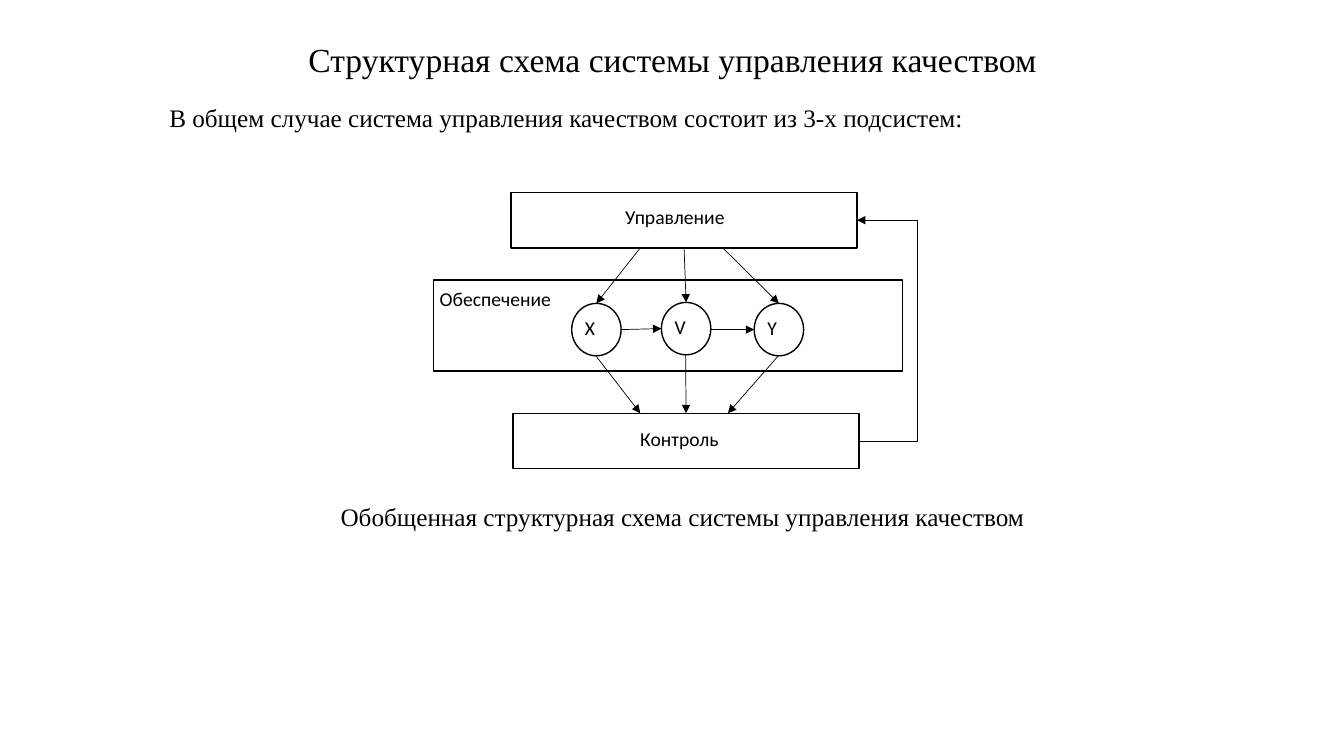
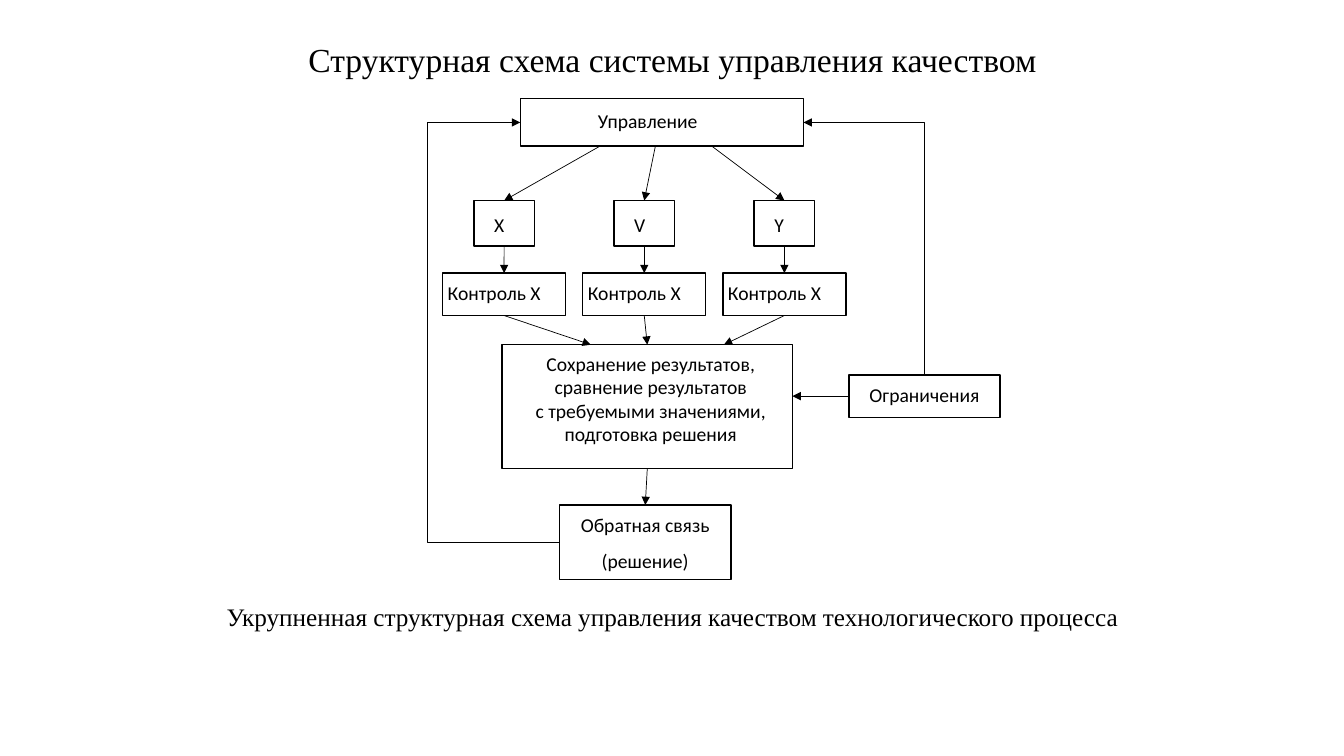
from lxml import etree
from pptx import Presentation
from pptx.dml.color import RGBColor
from pptx.enum.shapes import MSO_CONNECTOR, MSO_SHAPE
from pptx.enum.text import MSO_ANCHOR, MSO_AUTO_SIZE, PP_ALIGN
from pptx.oxml.ns import qn
from pptx.util import Inches, Pt

RECT, OVAL = MSO_SHAPE.RECTANGLE, MSO_SHAPE.OVAL
STRAIGHT, ELBOW = MSO_CONNECTOR.STRAIGHT, MSO_CONNECTOR.ELBOW
LEFT, CENTER, JUSTIFY = PP_ALIGN.LEFT, PP_ALIGN.CENTER, PP_ALIGN.JUSTIFY
TOP, SIDE, BOTTOM, RIGHT = 0, 1, 2, 3  # connection sites
BLACK, WHITE = "000000", "FFFFFF"
SERIF, SANS = "Times New Roman", "Calibri"
TITLE = "Структурная схема системы управления качеством"


def paint(fill, color):
    fill.solid()
    fill.fore_color.rgb = RGBColor.from_string(color)


def write(frame, text, font=SANS, size=14, align=LEFT, left=0.1, top=0.05,
          right=0, indent=0, lead=1.07, gap=8):
    """Fill a text frame, one paragraph per line of text."""
    frame.word_wrap = True
    frame.auto_size = MSO_AUTO_SIZE.NONE
    frame.vertical_anchor = MSO_ANCHOR.TOP
    frame.margin_left, frame.margin_right = Inches(left), Inches(right)
    frame.margin_top, frame.margin_bottom = Inches(top), 0
    for i, line in enumerate(text.split("\n")):
        para = frame.add_paragraph() if i else frame.paragraphs[0]
        para.alignment, para.line_spacing = align, lead
        para.space_before, para.space_after = 0, Pt(gap)
        if indent:
            para._p.get_or_add_pPr().set("indent", str(Inches(indent)))
        run = para.add_run()
        run.text = line
        run.font.name, run.font.size = font, Pt(size)
        paint(run.font.fill, BLACK)


# Notes: text, left, top, width, format
# Boxes: name -> shape, left, top, width, height, text, format
# Arrows: from, to; an end is a point or a box name with a site
# Loops: from, to, x of the upright part
basic = {
    "notes": [
        ("В общем случае система управления качеством состоит из 3-х подсистем:",
         1.09, 0.94, 11.22, dict(align=JUSTIFY, indent=0.49)),
        ("Обобщенная структурная схема системы управления качеством",
         2.98, 4.9, 7.58, dict(align=CENTER, right=0.1)),
    ],
    "boxes": {
        "manage": (RECT, 5.07, 1.91, 3.43, 0.55, "Управление", dict(left=1.13, top=0.11)),
        "supply": (RECT, 4.3, 2.78, 4.65, 0.9, "Обеспечение", dict(left=0.06)),
        "check": (RECT, 5.09, 4.1, 3.43, 0.55, "Контроль", dict(left=1.26, top=0.12)),
    },
    "arrows": [
        ((6.35, 2.46), ("X", TOP)),
        (("manage", BOTTOM), ("V", TOP)),
        ((7.17, 2.46), ("Y", TOP)),
        ((6.16, 3.27), (6.56, 3.26)),
        ((7.05, 3.27), (7.48, 3.27)),
        ((5.91, 3.53), (6.35, 4.1)),
        ((6.8, 3.52), ("check", TOP)),
        ((7.72, 3.53), (7.22, 4.1)),
    ],
    "loops": [(("check", RIGHT), ("manage", RIGHT), 9.1)],
    "corners": [],
}
for name, x, y in (("X", 5.67, 3.01), ("V", 6.56, 3), ("Y", 7.48, 3.01)):
    basic["boxes"][name] = (OVAL, x, y, 0.49, 0.52, name, dict(left=0.06, top=0.03))

detail = {
    "notes": [
        ("Укрупненная структурная схема управления качеством технологического процесса",
         1.06, 5.9, 11.22, dict(align=CENTER, right=0.1)),
    ],
    "boxes": {
        "manage": (RECT, 5.16, 0.98, 2.81, 0.47, "Управление", dict(left=0.77, top=0.08)),
        "store": (RECT, 4.98, 3.42, 2.88, 1.23,
                  "Сохранение результатов,\nсравнение результатов\n"
                  "с требуемыми значениями,\nподготовка решения",
                  dict(align=CENTER, left=0.07, top=0.07, lead=1.0, gap=0)),
        "limits": (RECT, 8.42, 3.72, 1.5, 0.42, "Ограничения",
                   dict(align=CENTER, left=0, top=0.06)),
        "reply": (RECT, 5.55, 5.01, 1.7, 0.74, "Обратная связь\n(решение)",
                  dict(align=CENTER, left=0, top=0.06)),
    },
    "arrows": [
        ((5.95, 1.45), ("X", TOP)),
        ((6.5, 1.45), ("V", TOP)),
        ((7.06, 1.45), ("Y", TOP)),
        (("check X", BOTTOM), (5.86, 3.42)),
        (("check V", BOTTOM), ("store", TOP)),
        (("check Y", BOTTOM), (7.18, 3.42)),
        (("limits", SIDE), (7.86, 3.93)),
        (("store", BOTTOM), ("reply", TOP)),
    ],
    "loops": [(("reply", SIDE), ("manage", SIDE), 4.24)],
    "corners": [(("manage", RIGHT), ("limits", TOP))],
}
for i, name in enumerate("XVY"):
    mid = 5 + 1.39 * i
    detail["boxes"][name] = (RECT, mid - 0.3, 1.99, 0.6, 0.45, name,
                             dict(left=0.2, top=0.11))
    detail["boxes"]["check " + name] = (RECT, mid - 0.61, 2.71, 1.22, 0.42, "Контроль X",
                                        dict(left=0.05, top=0.06))
    detail["arrows"].append(((name, BOTTOM), ("check " + name, TOP)))

deck = Presentation()
deck.slide_width, deck.slide_height = Inches(13.33), Inches(7.5)
layout = deck.slide_layouts[5]
head = layout.placeholders[0]
head.left, head.top = Inches(2.87), Inches(0.31)
head.width, head.height = Inches(7.6), Inches(0.51)

for plan in (basic, detail):
    slide = deck.slides.add_slide(layout)
    shapes = slide.shapes
    write(shapes.title.text_frame, TITLE, font=SERIF, size=24, align=CENTER, right=0.1)

    for text, x, y, w, style in plan["notes"]:
        note = shapes.add_textbox(Inches(x), Inches(y), Inches(w), Inches(0.41))
        write(note.text_frame, text, font=SERIF, size=18, **style)

    boxes = {}
    for name, (kind, x, y, w, h, text, style) in plan["boxes"].items():
        box = shapes.add_shape(kind, Inches(x), Inches(y), Inches(w), Inches(h))
        box.shadow.inherit = False
        paint(box.fill, WHITE)
        paint(box.line.fill, BLACK)
        box.line.width = Pt(1)
        write(box.text_frame, text, **style)
        boxes[name] = box

    links = [(STRAIGHT, a, b, None, "a:tailEnd") for a, b in plan["arrows"]]
    links += [(ELBOW, a, b, via, "a:tailEnd") for a, b, via in plan["loops"]]
    links += [(ELBOW, a, b, None, "a:headEnd") for a, b in plan["corners"]]
    for kind, start, end, via, tip in links:
        ends = [(0, 0) if isinstance(p[0], str) else p for p in (start, end)]
        link = shapes.add_connector(kind, *[Inches(v) for p in ends for v in p])
        if isinstance(start[0], str):
            link.begin_connect(boxes[start[0]], start[1])
        if isinstance(end[0], str):
            link.end_connect(boxes[end[0]], end[1])
        paint(link.line.fill, BLACK)
        link.line.width = Pt(0.5)
        props = link._element.spPr
        etree.SubElement(props.find(qn("a:ln")), qn(tip), type="triangle")
        etree.SubElement(props, qn("a:effectLst"))
        if kind == ELBOW:
            geom = props.find(qn("a:prstGeom"))
            if via is None:
                geom.set("prst", "bentConnector2")
            else:
                ratio = (Inches(via) - link.begin_x) / (link.end_x - link.begin_x)
                guides = geom.find(qn("a:avLst"))
                etree.SubElement(guides, qn("a:gd"), name="adj1",
                                 fmla=f"val {round(ratio * 100000)}")

deck.save("out.pptx")
